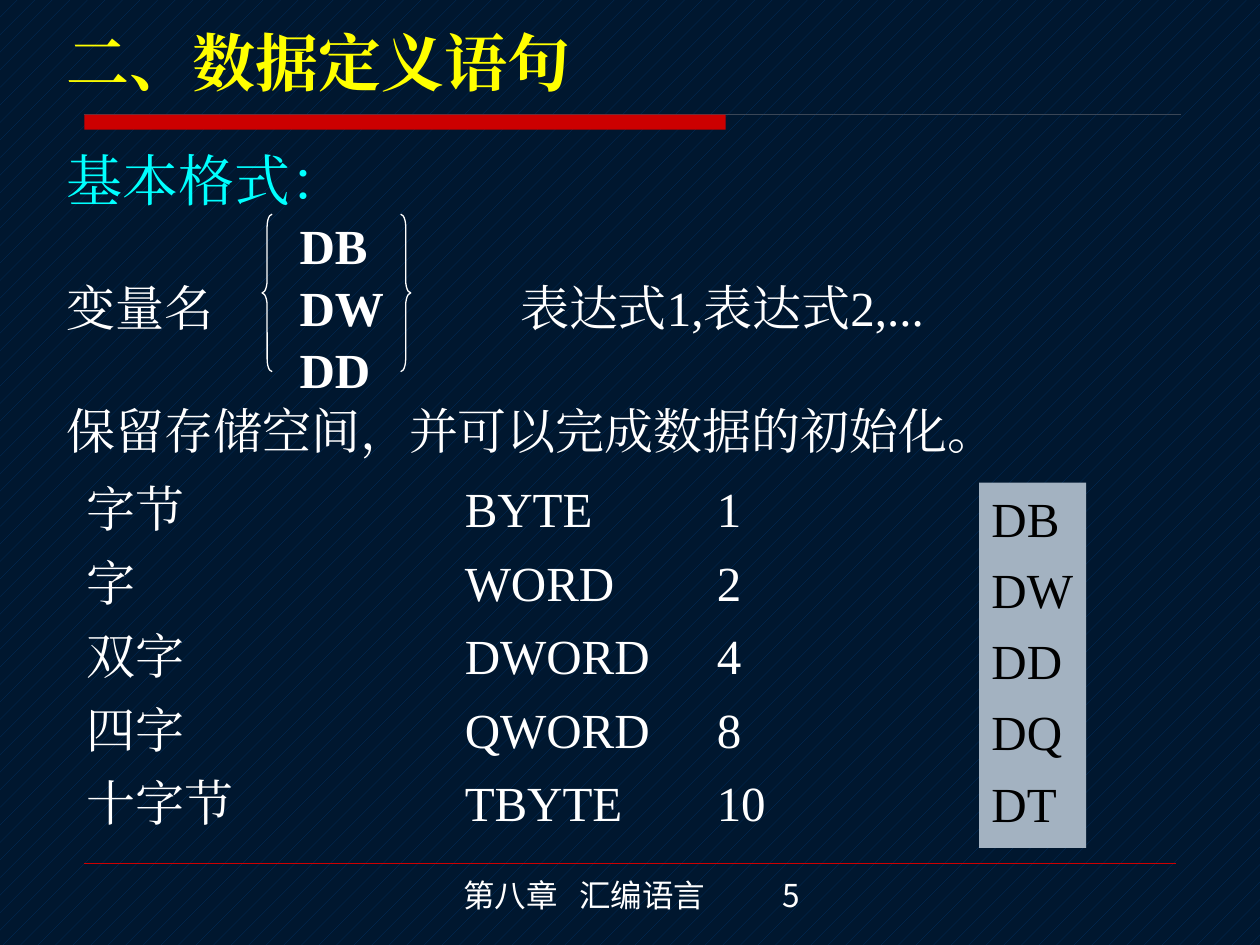
from dataclasses import dataclass

from lxml import etree
from pptx import Presentation
from pptx import util as u
from pptx.dml.color import RGBColor
from pptx.enum import dml, shapes, text
from pptx.oxml.ns import qn


@dataclass(frozen=True)
class Theme:
    latin: str = "Times New Roman"
    cjk: str = "Noto Sans CJK JP"
    ground: str = "00172F"
    hatch: str = "003366"
    red: str = "CC0000"
    hairline: str = "3A4656"
    yellow: str = "FFFF00"
    cyan: str = "00FFFF"
    white: str = "FFFFFF"
    black: str = "000000"
    panel: str = "A3B2C1"
    title: int = 36
    heading: int = 32
    body: int = 28
    footer: int = 18


@dataclass(frozen=True)
class Box:
    left: float
    top: float
    width: float
    height: float

    def lengths(self) -> tuple:
        return tuple(map(u.Inches, (self.left, self.top, self.width, self.height)))


@dataclass(frozen=True)
class DataType:
    name: str
    keyword: str
    size: int
    directive: str


THEME = Theme()
DATA_TYPES = (
    DataType("字节", "BYTE", 1, "DB"),
    DataType("字", "WORD", 2, "DW"),
    DataType("双字", "DWORD", 4, "DD"),
    DataType("四字", "QWORD", 8, "DQ"),
    DataType("十字节", "TBYTE", 10, "DT"),
)


def rgb(value: str) -> RGBColor:
    return RGBColor.from_string(value)


def add_frame(slide, box: Box, wrap: bool = True):
    frame = slide.shapes.add_textbox(*box.lengths()).text_frame
    frame.word_wrap = wrap
    return frame


def write(frame, content: str, *, size: int = THEME.body, color: str = THEME.white,
          font: str = THEME.latin, bold: str = "", before: int = 0,
          line: float = 1.0, tabs: tuple = ()) -> None:
    paragraph = frame.paragraphs[0]
    if paragraph.runs:
        paragraph = frame.add_paragraph()
    paragraph.alignment = text.PP_ALIGN.LEFT
    paragraph.line_spacing = line
    properties = paragraph._p.get_or_add_pPr()
    spacing = etree.SubElement(properties, qn("a:spcBef"))
    etree.SubElement(spacing, qn("a:spcPct"), val=str(before * 1000))
    if tabs:
        stops = etree.SubElement(properties, qn("a:tabLst"))
        for stop in tabs:
            etree.SubElement(stops, qn("a:tab"), pos=str(u.Inches(stop)), algn="l")
    pieces = content.partition(bold) if bold else (content,)
    for piece in filter(None, pieces):
        run = paragraph.add_run()
        run.text = piece
        run.font.size = u.Pt(size)
        run.font.bold = piece == bold
        run.font.color.rgb = rgb(color)
        run.font.name = font
        etree.SubElement(run._r.get_or_add_rPr(), qn("a:ea"), typeface=font)


def add_rule(slide, left: float, right: float, top: float, color: str, weight: float) -> None:
    rule = slide.shapes.add_connector(
        shapes.MSO_CONNECTOR.STRAIGHT,
        u.Inches(left), u.Inches(top), u.Inches(right), u.Inches(top))
    rule.line.color.rgb = rgb(color)
    rule.line.width = u.Pt(weight)
    etree.SubElement(rule._element.spPr, qn("a:effectLst"))


def add_block(slide, box: Box, color: str):
    block = slide.shapes.add_shape(shapes.MSO_SHAPE.RECTANGLE, *box.lengths())
    block.shadow.inherit = False
    block.fill.solid()
    block.fill.fore_color.rgb = rgb(color)
    block.line.fill.background()
    return block


def add_brace(slide, kind: shapes.MSO_SHAPE, left: float) -> None:
    brace = slide.shapes.add_shape(kind, *Box(left, 1.7, 0.08, 1.25).lengths())
    brace.shadow.inherit = False
    brace.fill.background()
    brace.line.color.rgb = rgb(THEME.white)
    brace.line.width = u.Pt(0.75)
    brace.adjustments[0] = 1.25
    brace.adjustments[1] = 0.5


def add_background(slide) -> None:
    fill = slide.background.fill
    fill.patterned()
    fill.pattern = dml.MSO_PATTERN.PERCENT_5
    fill.fore_color.rgb = rgb(THEME.hatch)
    fill.back_color.rgb = rgb(THEME.ground)


def add_frame_marks(slide) -> None:
    add_rule(slide, 0.67, 9.33, 6.85, THEME.red, 0.25)
    add_rule(slide, 0.67, 9.37, 0.91, THEME.hairline, 0.75)
    add_block(slide, Box(0.67, 0.91, 5.09, 0.12), THEME.red)
    footer = add_frame(slide, Box(3.58, 6.9, 3.62, 0.4))
    write(footer, "第八章\t汇编语言\t5", size=THEME.footer, font=THEME.cjk,
          before=50, tabs=(0.92, 2.53))


def add_syntax(slide) -> None:
    title = add_frame(slide, Box(0.43, 0.14, 4.24, 0.71), wrap=False)
    write(title, "二、数据定义语句", size=THEME.title, color=THEME.yellow,
          bold="二、数据定义语句")
    syntax = add_frame(slide, Box(0.43, 1.08, 9.06, 2.5))
    write(syntax, "基本格式：", size=THEME.heading, color=THEME.cyan, line=1.05)
    for content, directive in (
        ("\tDB", "DB"),
        ("变量名\tDW\t表达式1,表达式2,...", "DW"),
        ("\tDD", "DD"),
        ("保留存储空间，并可以完成数据的初始化。", ""),
    ):
        write(syntax, content, bold=directive, line=1.05, tabs=(1.85, 3.6))
    add_brace(slide, shapes.MSO_SHAPE.RIGHT_BRACE, 3.18)
    add_brace(slide, shapes.MSO_SHAPE.LEFT_BRACE, 2.08)


def add_data_types(slide) -> None:
    types = add_frame(slide, Box(0.59, 3.75, 8.25, 3))
    directives = add_block(slide, Box(7.77, 3.83, 0.85, 2.9), THEME.panel).text_frame
    directives.word_wrap = False
    directives.vertical_anchor = text.MSO_ANCHOR.TOP
    for entry in DATA_TYPES:
        write(types, f"{entry.name}\t{entry.keyword}\t{entry.size}",
              before=30, tabs=(3, 5))
        write(directives, entry.directive, color=THEME.black, before=25)


def main() -> None:
    deck = Presentation()
    deck.slide_width, deck.slide_height = u.Inches(10), u.Inches(7.5)
    slide = deck.slides.add_slide(deck.slide_layouts[6])
    add_background(slide)
    add_frame_marks(slide)
    add_syntax(slide)
    add_data_types(slide)
    deck.save("out.pptx")


if __name__ == "__main__":
    main()
